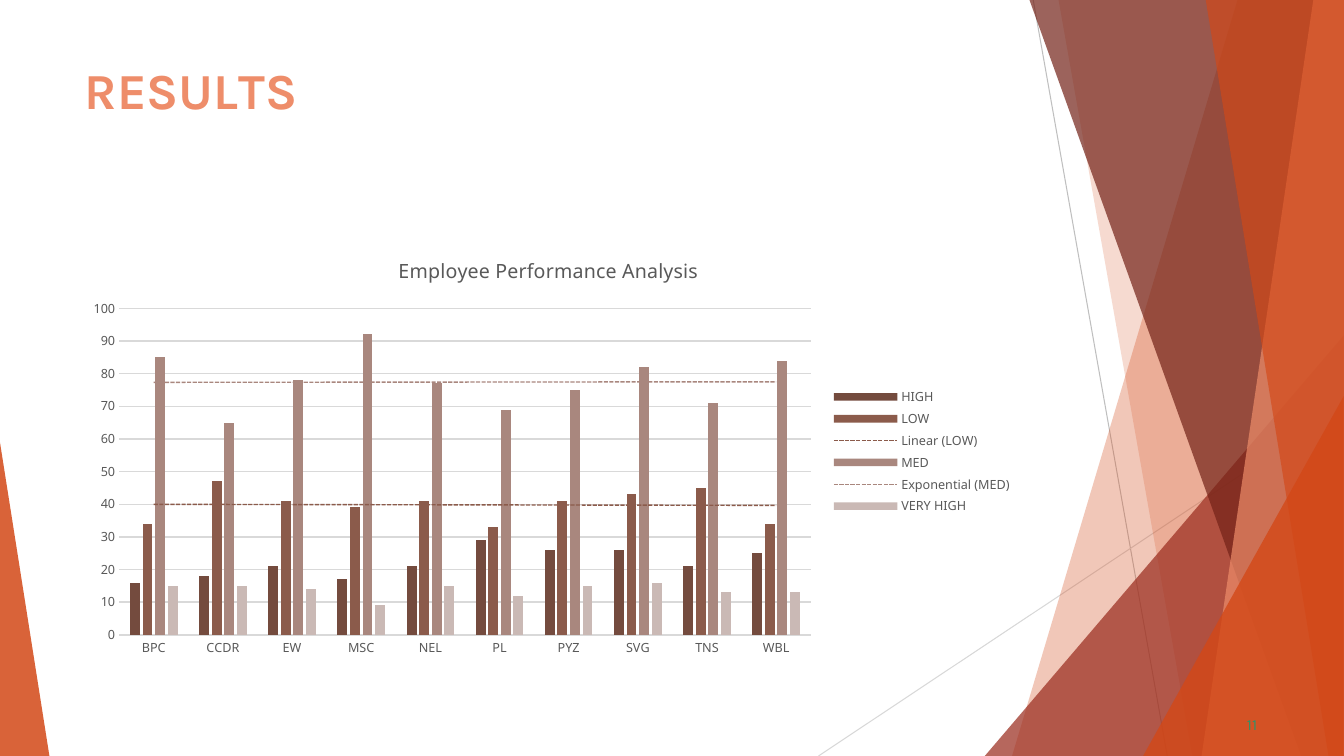
from lxml import etree
from pptx import Presentation
from pptx.chart.data import CategoryChartData as ChartData
from pptx.dml.color import RGBColor as Rgb
from pptx.enum.chart import XL_CHART_TYPE as ChartType
from pptx.enum.chart import XL_LEGEND_POSITION as LegendPos
from pptx.enum.chart import XL_TICK_MARK as Tick
from pptx.enum.shapes import MSO_CONNECTOR as Connector
from pptx.enum.shapes import MSO_SHAPE as Preset
from pptx.oxml import parse_xml
from pptx.oxml.ns import nsdecls, qn
from pptx.util import Inches, Pt

# Grid of square cells, ten to the inch
CELL = 0.1
COLS, ROWS = 133.33, 75

COLORS = {
    "orange": "D34817", "salmon": "EE8D6A", "red": "9B2D1F", "maroon": "732217",
    "line": "BFBFBF", "pale_line": "D8D8D8", "grid": "D9D9D9",
    "label": "595959", "number": "2D936B",
    "HIGH": "744B3E", "LOW": "8B5B4B", "MED": "A9877E", "VERY HIGH": "CAB9B5",
}
TEAMS = ["BPC", "CCDR", "EW", "MSC", "NEL", "PL", "PYZ", "SVG", "TNS", "WBL"]
RATINGS = {
    "HIGH": [16, 18, 21, 17, 21, 29, 26, 26, 21, 25],
    "LOW": [34, 47, 41, 39, 41, 33, 41, 43, 45, 34],
    "MED": [85, 65, 78, 92, 77, 69, 75, 82, 71, 84],
    "VERY HIGH": [15, 15, 14, 9, 15, 12, 15, 16, 13, 13],
}
TRENDS = {"LOW": "linear", "MED": "exp"}


def cells(count):
    return Inches(count * CELL)


def color(name):
    return Rgb.from_string(COLORS[name])


def style_font(font, face, size, tint, bold=False):
    font.name, font.size, font.bold = face, Pt(size), bold
    font.color.rgb = color(tint)


def add_text(para, text, spacing=0, **style):
    span = para.add_run()
    span.text = text
    style_font(span.font, **style)
    span.font._element.set("spc", str(round(spacing * 100)))


class Page:
    heading_face = "Karla"
    chart_face = "Noto Sans"

    def __init__(self, deck):
        self.shapes = deck.slides.add_slide(deck.slide_layouts[6]).shapes

    def line(self, start, end, tint):
        rule = self.shapes.add_connector(
            Connector.STRAIGHT, *(cells(v) for v in (*start, *end)))
        rule.line.color.rgb = color(tint)
        rule.line.width = Pt(0.75)
        etree.SubElement(rule._element.spPr, qn("a:effectLst"))

    def paint(self, shape, tint, opacity):
        shape.shadow.inherit = False
        shape.line.fill.background()
        shape.fill.solid()
        shape.fill.fore_color.rgb = color(tint)
        tone = shape._element.spPr.find(".//" + qn("a:srgbClr"))
        etree.SubElement(tone, qn("a:alpha")).set("val", str(opacity * 1000))

    def facet(self, top_left, bottom_left, tint, opacity):
        """Band from its slanted left side to the right edge of the slide."""
        outline = self.shapes.build_freeform(cells(top_left), cells(-0.1))
        corners = [(COLS, -0.1), (COLS, ROWS), (bottom_left, ROWS)]
        outline.add_line_segments([(cells(x), cells(y)) for x, y in corners])
        self.paint(outline.convert_to_shape(), tint, opacity)

    def triangle(self, left, top, width, apex, tint, opacity):
        """Triangle that stands on the bottom edge of the slide."""
        shape = self.shapes.add_shape(
            Preset.ISOSCELES_TRIANGLE, cells(left), cells(top),
            cells(width), cells(ROWS - top))
        shape.adjustments[0] = apex
        self.paint(shape, tint, opacity)

    def text(self, area, spans, indent, before, **style):
        box = self.shapes.add_textbox(*(cells(v) for v in area))
        frame = box.text_frame
        frame.word_wrap = True
        frame.margin_left = Inches(indent)
        frame.margin_right = frame.margin_bottom = 0
        frame.margin_top = Inches(0.01)
        para = frame.paragraphs[0]
        para.space_before = Pt(before)
        for text, spacing in spans:
            add_text(para, text, spacing, face=self.heading_face, **style)

    def chart(self, area, title):
        data = ChartData()
        data.categories = TEAMS
        for name, values in RATINGS.items():
            data.add_series(name, values)
        chart = self.shapes.add_chart(
            ChartType.COLUMN_CLUSTERED, *(cells(v) for v in area), data).chart
        label = {"face": self.chart_face, "size": 9, "tint": "label"}
        style_font(chart.font, **label)

        # Title and legend
        chart.has_title = True
        add_text(chart.chart_title.text_frame.paragraphs[0], title,
                 **{**label, "size": 14})
        chart.chart_title.include_in_layout = False
        chart.has_legend = True
        chart.legend.position = LegendPos.RIGHT
        chart.legend.include_in_layout = False
        style_font(chart.legend.font, **label)

        # Axes
        for axis in (chart.category_axis, chart.value_axis):
            axis.major_tick_mark = axis.minor_tick_mark = Tick.NONE
            style_font(axis.tick_labels.font, **label)
        scale = chart.value_axis
        scale.minimum_scale, scale.maximum_scale, scale.major_unit = 0, 100, 10
        scale.format.line.fill.background()
        scale.has_major_gridlines = True
        for rule in (scale.major_gridlines, chart.category_axis):
            rule.format.line.color.rgb = color("grid")
            rule.format.line.width = Pt(1)

        # Columns and their trend lines
        plot = chart.plots[0]
        plot.gap_width, plot.overlap = 219, -27
        plot.vary_by_categories = False
        for series in plot.series:
            series.format.fill.solid()
            series.format.fill.fore_color.rgb = color(series.name)
            series.invert_if_negative = False
            if series.name in TRENDS:
                self.trend(series, TRENDS[series.name])

    def trend(self, series, kind):
        trend = parse_xml(
            f'<c:trendline {nsdecls("c", "a")}><c:spPr><a:ln w="{Pt(1)}">'
            f'<a:solidFill><a:srgbClr val="{COLORS[series.name]}"/></a:solidFill>'
            f'<a:prstDash val="sysDash"/></a:ln></c:spPr>'
            f'<c:trendlineType val="{kind}"/><c:dispRSqr val="0"/>'
            f'<c:dispEq val="0"/></c:trendline>')
        series._element.find(qn("c:cat")).addprevious(trend)


def main():
    deck = Presentation()
    deck.slide_width, deck.slide_height = cells(COLS), cells(ROWS)
    page = Page(deck)

    # Facets along the right and left edges
    page.line((102.5, 0), (115.8, ROWS), "line")
    page.line((COLS, 40.3), (81.2, ROWS), "pale_line")
    page.facet(122.8, 100.4, "orange", 30)
    page.facet(105, 118.3, "orange", 20)
    page.triangle(97.7, 33.3, 35.6, 1, "red", 72)
    page.facet(102.1, 129.1, "maroon", 70)
    page.facet(130.3, 119.2, "salmon", 70)
    page.facet(119.6, 131.8, "orange", 65)
    page.triangle(113.4, 39.3, 19.9, 1, "orange", 80)
    page.triangle(0, 43.9, 4.9, 0, "orange", 85)

    # Heading and page number
    heading = [("R", 0), ("E", -0.4), ("S", 0.1), ("U", -0.3), ("L", -4), ("TS", 0)]
    page.text((8.3, 5.8, 94, 6.2), heading, 0.01, 1,
              size=36, tint="salmon", bold=True)
    page.text((123.3, 70.8, 2.5, 2.1), [("11", 0.1)], 0.04, 0.6,
              size=11, tint="number")

    # Ratings by team
    page.chart((7.4, 23.6, 94, 42.4), "Employee Performance Analysis")
    deck.save("out.pptx")


if __name__ == "__main__":
    main()
